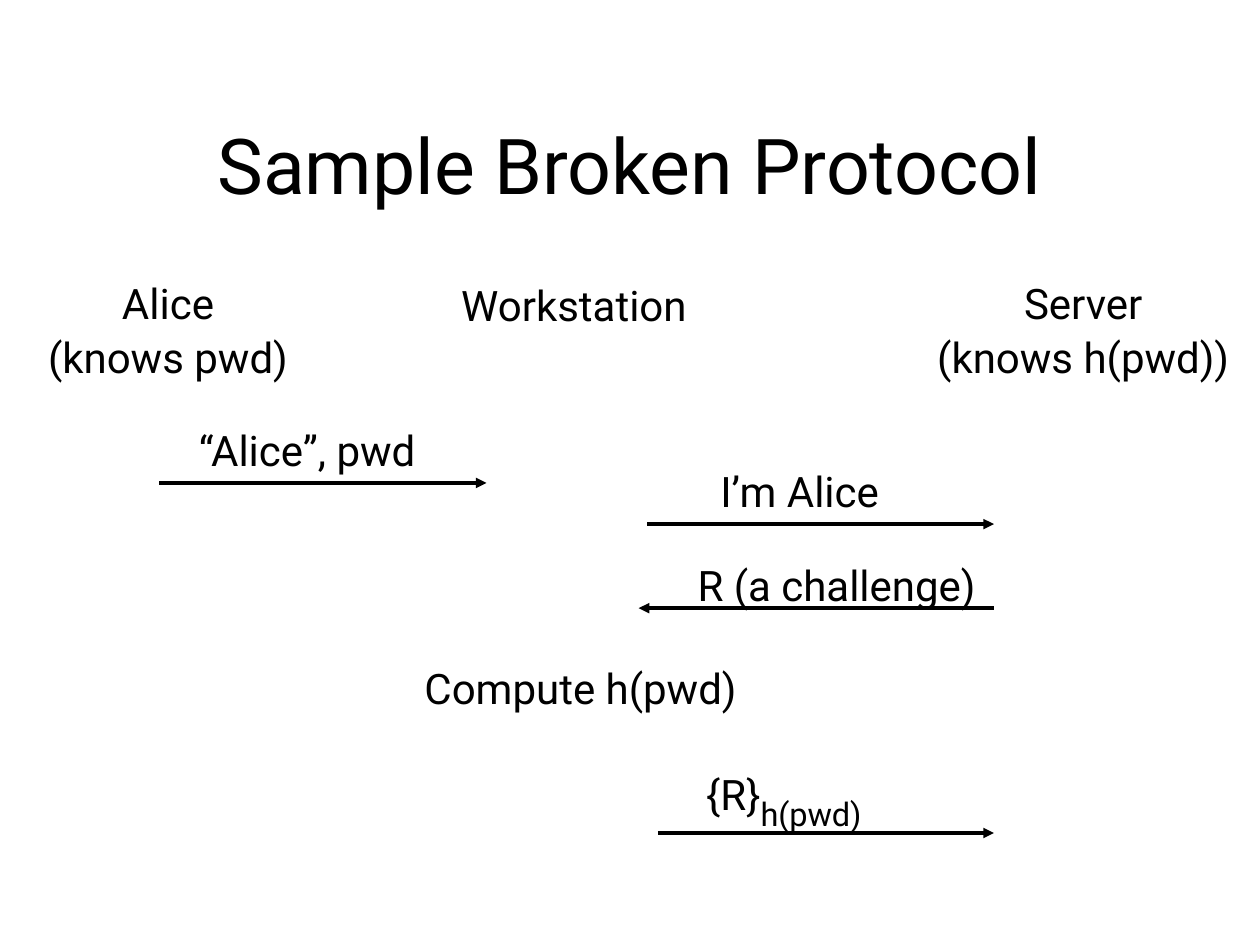
from pptx import Presentation
from pptx.dml.color import RGBColor
from pptx.enum import shapes, text
from pptx.oxml.ns import qn
from pptx.util import Pt
from lxml import etree

COLORS = {"ink": "000000", "paper": "FFFFFF"}
LEFT, CENTER = text.PP_ALIGN.LEFT, text.PP_ALIGN.CENTER


class ProtocolSlide:
    font_name = "Roboto"
    label_size = 24
    first_spacing, next_spacing = 1.01, 1.06

    def __init__(self, slide):
        self.slide = slide
        fill = slide.background.fill
        fill.solid()
        fill.fore_color.rgb = RGBColor.from_string(COLORS["paper"])

    def style(self, paragraph, size, align, spacing):
        paragraph.alignment = align
        paragraph.line_spacing = spacing
        font = paragraph.font
        font.name, font.size = self.font_name, Pt(size)
        font.color.rgb = RGBColor.from_string(COLORS["ink"])

    def title(self, wording, left, top, width, height):
        frame = self.slide.shapes.add_textbox(
            Pt(left), Pt(top), Pt(width), Pt(height)).text_frame
        frame.word_wrap = True
        frame.vertical_anchor = text.MSO_ANCHOR.MIDDLE
        frame.text = wording
        self.style(frame.paragraphs[0], 44, CENTER, self.first_spacing)

    def label(self, lines, left, top, width, height=37, align=LEFT):
        """Add unwrapped text, one paragraph a line; return its last paragraph."""
        frame = self.slide.shapes.add_textbox(
            Pt(left), Pt(top), Pt(width), Pt(height)).text_frame
        frame.word_wrap = False
        frame.auto_size = text.MSO_AUTO_SIZE.SHAPE_TO_FIT_TEXT
        frame.text = "\n".join(lines)
        for i, paragraph in enumerate(frame.paragraphs):
            spacing = self.next_spacing if i else self.first_spacing
            self.style(paragraph, self.label_size, align, spacing)
        return frame.paragraphs[-1]

    def subscript(self, paragraph, wording, size):
        run = paragraph.add_run()
        run.text = wording
        run.font.size = Pt(size)
        run._r.get_or_add_rPr().set("baseline", "-30000")

    def arrow(self, start, end, y):
        message = self.slide.shapes.add_connector(
            shapes.MSO_CONNECTOR.STRAIGHT, Pt(start), Pt(y), Pt(end), Pt(y))
        message.line.width = Pt(2)
        message.line.color.rgb = RGBColor.from_string(COLORS["ink"])
        etree.SubElement(message.line._get_or_add_ln(), qn("a:tailEnd"), type="triangle")
        etree.SubElement(message._element.spPr, qn("a:effectLst"))


def main():
    deck = Presentation()
    deck.slide_width, deck.slide_height = Pt(720), Pt(540)
    protocol = ProtocolSlide(deck.slides.add_slide(deck.slide_layouts[6]))

    protocol.title("Sample Broken Protocol", 54, 48, 612, 90)

    protocol.label(["Alice", "(knows pwd)"], 18, 155, 156, 67, CENTER)
    protocol.label(["Workstation"], 256.5, 156, 152)
    protocol.label(["Server", "(knows h(pwd))"], 526.5, 155, 185, 67, CENTER)

    protocol.label(["“Alice”, pwd"], 106.5, 239, 145.5)
    protocol.arrow(91, 278, 276)

    protocol.label(["I’m Alice"], 404.5, 262, 109)
    protocol.arrow(370, 568, 299.5)

    protocol.label(["R (a challenge)"], 391.5, 316, 178.5)
    protocol.arrow(568, 365, 347.5)

    protocol.label(["Compute h(pwd)"], 235.5, 375, 202.5)

    response = protocol.label(["{R}"], 396.5, 427, 107.5, 53)
    protocol.subscript(response, "h(pwd)", 32)
    protocol.arrow(376, 568, 476)

    deck.save("out.pptx")


if __name__ == "__main__":
    main()
